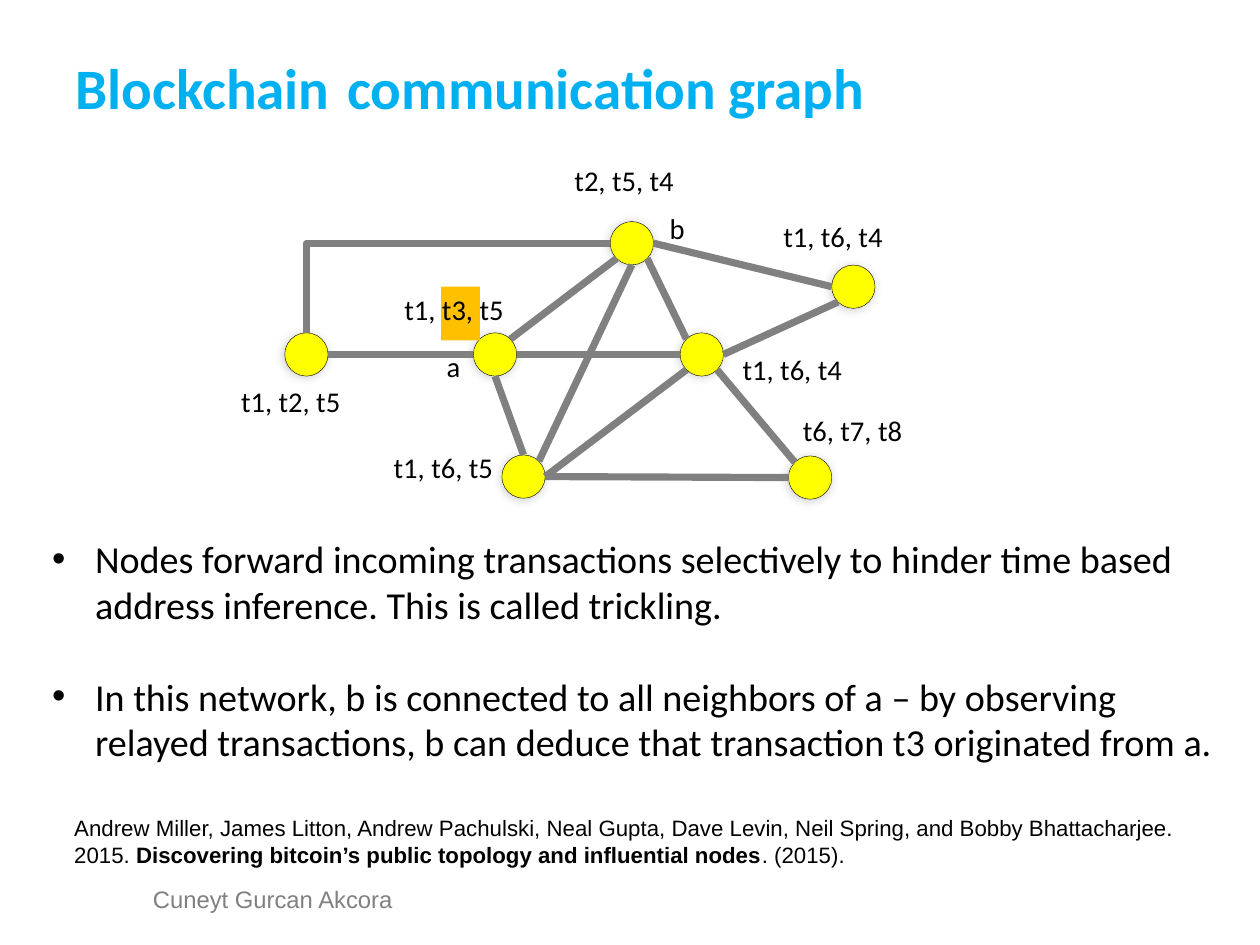
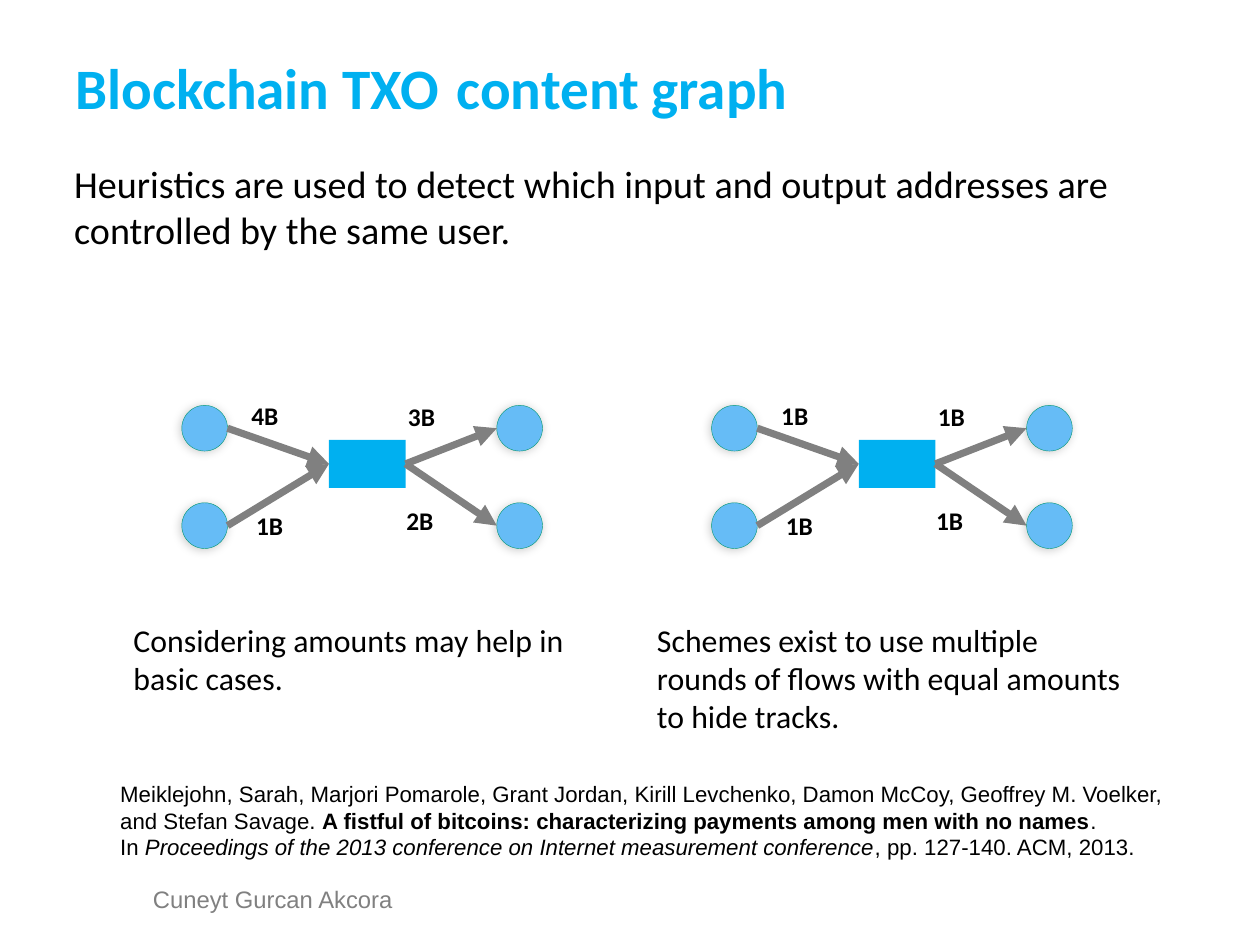
from math import cos, pi, sin

from lxml import etree
from pptx import Presentation
from pptx import util as u
from pptx.dml.color import RGBColor
from pptx.enum import shapes, text
from pptx.oxml.ns import qn

WIDE, HIGH = u.Emu(10080625), u.Emu(7559675)
CELL = WIDE / 100  # grid of 100 columns by 75 rows
NBSP = chr(160)

BLACK = RGBColor(0, 0, 0)
GRAY = RGBColor(0x80, 0x80, 0x80)
BLUE = RGBColor(0x00, 0xB0, 0xF0)
SKY = RGBColor(0x66, 0xBC, 0xF6)
TEAL = RGBColor(0x00, 0x97, 0x71)
YELLOW = RGBColor(0xFF, 0xFF, 0x00)
AMBER = RGBColor(0xFF, 0xC0, 0x00)

RING = 1.72  # node radius
NODES = {
    "left": (6.32, 15.63), "a": (21.29, 15.63), "b": (32.15, 6.8),
    "right": (49.73, 10.25), "mid": (37.7, 15.63),
    "low": (23.55, 25.32), "end": (46.3, 25.4),
}
# Sites run counterclockwise from the top in steps of 45 degrees.
EDGES = [
    ("a", 7, "b", 3), ("left", 6, "a", 2), ("low", 0, "a", 4),
    ("low", 7, "b", 4), ("mid", 1, "b", 5), ("right", 2, "b", 6),
    ("right", 3, "mid", 6), ("mid", 2, "a", 6), ("mid", 3, "low", 6),
    ("end", 1, "mid", 5), ("end", 2, "low", 6),
]
LABELS = [
    ("t2, t5, t4", 26.7, 0), ("t1, t2, t5", 0.24, 17.53),
    ("t1, t6, t5", 12.35, 22.73), ("t1, t3, t5", 13.2, 10.25),
    ("t1, t6, t4", 40.05, 14.97), ("t6, t7, t8", 44.83, 19.85),
    ("t1, t6, t4", 43.28, 4.46), ("a", 16.55, 14.75), ("b", 34.25, 3.78),
]
FLOWS = [(4.63, 0), (5, 8.75), (17.06, 0.09), (16.93, 8.33)]


def grid(*cells):
    return [u.Emu(round(c * CELL)) for c in cells]


def write(slide, box, paras, size, face="Calibri", color=BLACK, bold=None):
    """Add a text box; a paragraph is a string or a list of (text, style) runs."""
    frame = slide.shapes.add_textbox(*grid(*box)).text_frame
    frame.word_wrap = True
    for i, runs in enumerate(paras):
        para = frame.add_paragraph() if i else frame.paragraphs[0]
        font = para.font
        font.name, font.size, font.bold = face, u.Pt(size), bold
        font.color.rgb = color
        for words, style in [(runs, {})] if isinstance(runs, str) else runs:
            run = para.add_run()
            run.text = words
            for key, value in style.items():
                setattr(run.font, key, value)
    return frame


def draw(slide, kind, box, fill, edge=None):
    """Add a filled shape; one with an edge also casts a soft shadow."""
    shape = slide.shapes.add_shape(kind, *grid(*box))
    shape.fill.solid()
    shape.fill.fore_color.rgb = fill
    shape.shadow.inherit = False
    if edge is None:
        shape.line.fill.background()
        return shape
    shape.line.color.rgb = edge
    shape.line.width = u.Pt(0.25)
    glow = etree.SubElement(
        shape.element.spPr.find(qn("a:effectLst")), qn("a:outerShdw"),
        blurRad="76200", dist="12700", dir="8100000", rotWithShape="0")
    tint = etree.SubElement(glow, qn("a:srgbClr"), val="000000")
    etree.SubElement(tint, qn("a:alpha"), val="20000")
    return shape


def disc(slide, x, y, size, fill, edge):
    return draw(slide, shapes.MSO_SHAPE.OVAL, (x, y, size, size), fill, edge)


def link(slide, start, stop, arrow=False, kind=shapes.MSO_CONNECTOR.STRAIGHT):
    line = slide.shapes.add_connector(kind, *grid(*start, *stop))
    line.line.color.rgb = GRAY
    line.line.width = u.Pt(4.5)
    props = line.element.spPr
    if arrow:
        etree.SubElement(props.find(qn("a:ln")), qn("a:tailEnd"), type="triangle")
    etree.SubElement(props, qn("a:effectLst"))
    return line


def page(deck, first, rest):
    """Add a slide with the shared title style and footer."""
    slide = deck.slides.add_slide(deck.slide_layouts[6])
    gap = (" ", {"size": u.Pt(48.5)})
    head = write(slide, (5, 0, 90, 12.5), [[(first, {}), gap, (rest, {})]],
                 36, color=BLUE, bold=True)
    head.vertical_anchor = text.MSO_ANCHOR.MIDDLE
    head.margin_left = head.margin_right = u.Inches(0.11)
    foot = write(slide, (11.8, 70.33, 19.7, 3.36), ["Cuneyt Gurcan Akcora"],
                 15, "Arial", GRAY)
    foot.margin_left = foot.margin_right = 0
    foot.margin_top = u.Inches(0.01)
    foot.paragraphs[0].alignment = text.PP_ALIGN.CENTER
    foot.paragraphs[0].line_spacing = 0.93
    return slide


def bullets(slide, box, items):
    frame = write(slide, box, items, 24)
    frame.margin_top = u.Inches(0.06)
    frame.margin_left = frame.margin_right = u.Inches(0.11)
    for i, para in enumerate(frame.paragraphs):
        para.space_before = u.Pt(29 if i else 0)
        props = para._p.get_or_add_pPr()
        props.set("marL", "342900")
        props.set("indent", "-342900")
        last = props.find(qn("a:defRPr"))
        for mark in (etree.Element(qn("a:buFont"), typeface="Arial"),
                     etree.Element(qn("a:buChar"), char="•")):
            last.addprevious(mark)


def network(slide, x, y):
    """Draw the node graph with its top left corner at column x, row y."""
    def site(name, step):
        cx, cy = NODES[name]
        turn = step * pi / 4
        return x + cx - RING * sin(turn), y + cy - RING * cos(turn)

    for cx, cy in NODES.values():
        disc(slide, x + cx - RING, y + cy - RING, 2 * RING, YELLOW, BLACK)
    bend = link(slide, site("b", 2), site("left", 0),
                kind=shapes.MSO_CONNECTOR.ELBOW)
    bend.element.spPr.find(qn("a:prstGeom")).set("prst", "bentConnector2")
    for start, i, stop, j in EDGES:
        link(slide, site(start, i), site(stop, j))
    draw(slide, shapes.MSO_SHAPE.RECTANGLE,
         (x + 17, y + 10.25, 3.09, 4.26), AMBER)
    for words, left, top in LABELS:
        write(slide, (x + left, y + top, 11.34, 4.26), [words], 18)


def flow(slide, x, y, sums):
    """Draw two inputs, a transaction and two outputs from column x, row y."""
    size, far = 3.63, 25
    hub = draw(slide, shapes.MSO_SHAPE.RECTANGLE,
               (x + 11.68, y + 3.61, 6.08, 3.81), BLUE)
    core = (x + 14.72, y + 5.52)
    for top in (0.87, 8.6):
        for left in (0, far):
            disc(slide, x + left, y + top, size, SKY, TEAL)
        row = y + top + size / 2
        link(slide, (x + size, row), core, True).end_connect(hub, 1)
        link(slide, core, (x + far, row), True).begin_connect(hub, 3)
    for words, (left, top) in zip(sums, FLOWS):
        write(slide, (x + left, y + top, 6.35, 3.36), [words], 16, bold=True)


def talk(deck):
    slide = page(deck, "Blockchain", "communication graph")
    bullets(slide, (3.15, 41.95, 94.6, 12.7), [
        "Nodes forward incoming transactions selectively to hinder time based "
        "address inference. This is called trickling.",
        "In this network, b is connected to all neighbors of a – by observing "
        "relayed transactions, b can deduce that transaction t3 originated from a.",
    ])
    write(slide, (5, 64.2, 90.75, 5.2), [[
        ("Andrew Miller, James Litton, Andrew Pachulski, Neal Gupta, Dave Levin, "
         "Neil Spring, and Bobby Bhattacharjee. 2015. ", {}),
        ("Discovering bitcoin’s public topology and influential nodes",
         {"bold": True}),
        (". (2015).", {})]], 14, "Arial")
    network(slide, 18, 12.5)


def content(deck):
    slide = page(deck, "Blockchain TXO", "content graph")
    write(slide, (5, 12.3, 90, 8.25), [
        "Heuristics are used to detect which input and output addresses are "
        "controlled by the same user."], 24)
    write(slide, (8.65, 61.48, 88, 7.35), [[
        ("Meiklejohn, Sarah, Marjori Pomarole, Grant Jordan, Kirill Levchenko, "
         "Damon McCoy, Geoffrey M. Voelker, and Stefan Savage. ", {}),
        ("A fistful of bitcoins: characterizing payments among men with no names",
         {"bold": True}),
        (". In" + NBSP, {}),
        ("Proceedings of the 2013 conference on Internet measurement conference",
         {"italic": True}),
        (", pp. 127-140. ACM, 2013.", {})]], 14, "Arial")
    flow(slide, 14.43, 31.3, ["4B", "1B", "3B", "2B"])
    flow(slide, 56.48, 31.3, ["1B"] * 4)
    write(slide, (9.7, 48.8, 38.1, 7),
          ["Considering amounts may help in basic cases."], 20)
    write(slide, (51.25, 48.8, 39, 13.2),
          ["Schemes exist to use multiple rounds of flows with equal amounts "
           "to hide tracks."], 20)


def main():
    deck = Presentation()
    deck.slide_width, deck.slide_height = WIDE, HIGH
    talk(deck)
    content(deck)
    deck.save("out.pptx")


if __name__ == "__main__":
    main()
